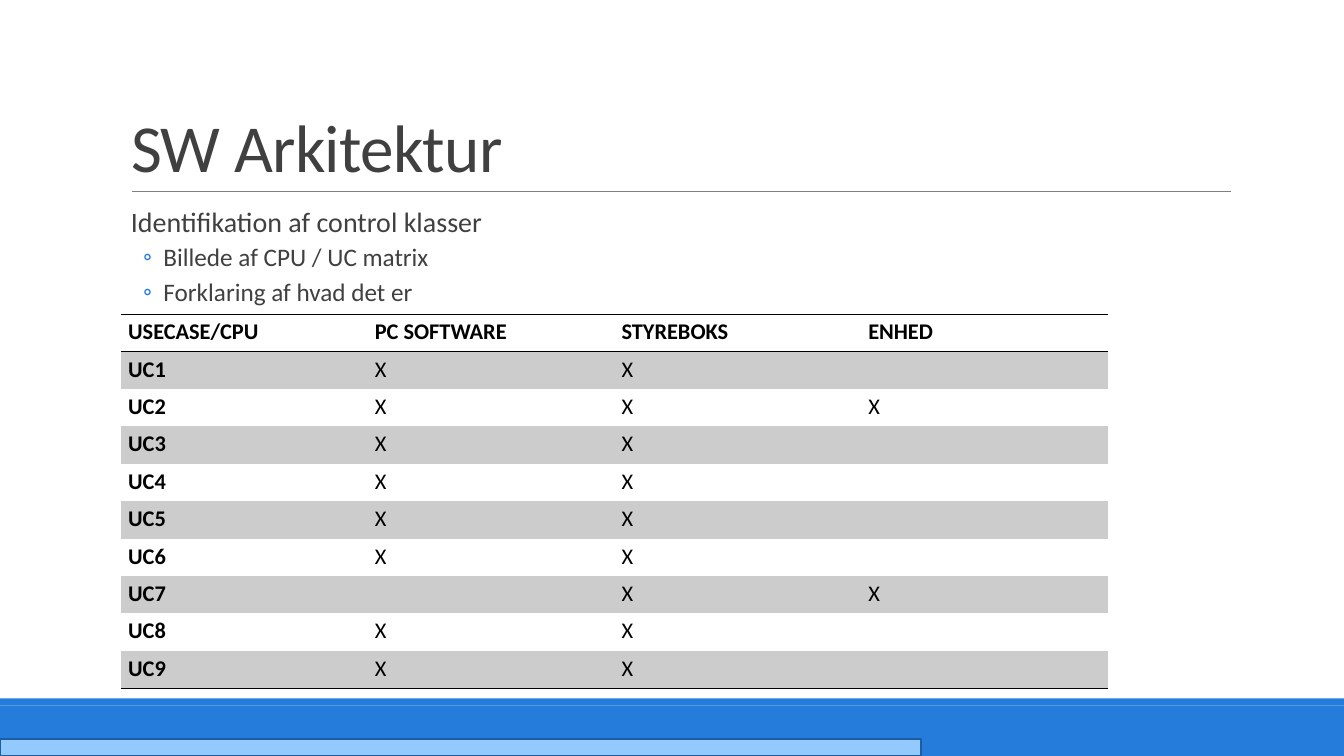
import pptx
import pptx.util
import pptx.dml.color
import pptx.enum.shapes
import pptx.enum.text
import pptx.oxml
import pptx.oxml.ns
from pptx.util import Cm

FONT = "Calibri"
BLUE = "257CDB"
GREY = "404040"
BLACK = "000000"
NO_GRID_STYLE = "{2D5ABB26-0587-4C30-8999-92F81FD0307C}"


def color(hex_string):
    return pptx.dml.color.RGBColor.from_string(hex_string)


def add_xml(parent, tag, inner="", **attributes):
    listed = "".join(f' {name}="{value}"' for name, value in attributes.items())
    namespace = pptx.oxml.ns.nsdecls("a")
    parent.append(pptx.oxml.parse_xml(f"<a:{tag} {namespace}{listed}>{inner}</a:{tag}>"))


deck = pptx.Presentation()
deck.slide_width, deck.slide_height = Cm(33.87), Cm(19.05)
page = deck.slides.add_slide(deck.slide_layouts[5])
shapes = page.shapes

# Footer bars: left, top, width, height, fill, outline
bars = [
    (0, 17.78, 33.87, 1.27, BLUE, None),
    (0, 17.6, 33.87, 0.18, BLUE, None),
    (0, 18.62, 23.22, 0.43, "94C9FE", "1B5CA2"),
]
for *place, fill, outline in bars:
    bar = shapes.add_shape(pptx.enum.shapes.MSO_SHAPE.RECTANGLE, *map(Cm, place))
    bar.shadow.inherit = False
    bar.fill.solid()
    bar.fill.fore_color.rgb = color(fill)
    if outline:
        bar.line.color.rgb = color(outline)
        bar.line.width = pptx.util.Pt(1.25)
    else:
        bar.line.fill.background()

# Rule under the title
rule = shapes.add_connector(
    pptx.enum.shapes.MSO_CONNECTOR.STRAIGHT, Cm(3.32), Cm(4.82), Cm(31.02), Cm(4.82))
rule.line.color.rgb = color("808080")
rule.line.width = pptx.util.Pt(0.5)
add_xml(rule._element.spPr, "effectLst")

# Title
title = shapes.title
title.left, title.top, title.width, title.height = Cm(3.05), Cm(0.79), Cm(27.94), Cm(4.04)
title.text_frame.vertical_anchor = pptx.enum.text.MSO_ANCHOR.BOTTOM
title.text_frame.auto_size = pptx.enum.text.MSO_AUTO_SIZE.NONE
para = title.text_frame.paragraphs[0]
para.alignment = pptx.enum.text.PP_ALIGN.LEFT
para.line_spacing = 0.85
span = para.add_run()
span.text = "SW Arkitektur"
span.font.name, span.font.size = FONT, pptx.util.Pt(48)
span.font.color.rgb = color(GREY)
span._r.get_or_add_rPr().set("spc", "-50")

# Body: text, level, size, space before, space after
lines = [
    ("Identifikation af control klasser", 0, 20, 0, 2),
    ("Billede af CPU / UC matrix", 1, 18, 2, 4),
    ("Forklaring af hvad det er", 1, 18, 2, 4),
]
body = shapes.add_textbox(Cm(3.05), Cm(5.13), Cm(27.94), Cm(11.18)).text_frame
body.word_wrap = True
body.margin_left = body.margin_right = 0
for number, (text, level, size, before, after) in enumerate(lines):
    para = body.add_paragraph() if number else body.paragraphs[0]
    properties = para._p.get_or_add_pPr()
    if level:
        properties.set("marL", str(Cm(1.07)))
        properties.set("indent", str(Cm(-0.51)))
        add_xml(properties, "buClr", f'<a:srgbClr val="{BLUE}"/>')
        add_xml(properties, "buFont", typeface=FONT)
        add_xml(properties, "buChar", char="◦")
    else:
        properties.set("marL", str(Cm(0.25)))
    formats = {"level": level, "line_spacing": 0.9,
               "space_before": pptx.util.Pt(before), "space_after": pptx.util.Pt(after)}
    for name, value in formats.items():
        setattr(para, name, value)
    span = para.add_run()
    span.text = text
    span.font.name, span.font.size = FONT, pptx.util.Pt(size)
    span.font.color.rgb = color(GREY)

# Use case / CPU matrix
rows = [
    ("USECASE/CPU", "PC SOFTWARE", "STYREBOKS", "ENHED"),
    ("UC1", "X", "X", ""),
    ("UC2", "X", "X", "X"),
    ("UC3", "X", "X", ""),
    ("UC4", "X", "X", ""),
    ("UC5", "X", "X", ""),
    ("UC6", "X", "X", ""),
    ("UC7", "", "X", "X"),
    ("UC8", "X", "X", ""),
    ("UC9", "X", "X", ""),
]
last = len(rows) - 1
matrix = shapes.add_table(
    len(rows), len(rows[0]), Cm(3.05), Cm(7.92), Cm(24.87), Cm(9.42)).table
matrix._tbl.tblPr.find(pptx.oxml.ns.qn("a:tableStyleId")).text = NO_GRID_STYLE
matrix.first_row = matrix.horz_banding = False
border = f'<a:solidFill><a:srgbClr val="{BLACK}"/></a:solidFill>'
for row, texts in enumerate(rows):
    for column, text in enumerate(texts):
        cell = matrix.cell(row, column)
        margins = {"margin_left": Cm(0.18), "margin_right": Cm(0.18),
                   "margin_top": 0, "margin_bottom": 0}
        for name, value in margins.items():
            setattr(cell, name, value)
        sides = {0: ("lnT", "lnB"), last: ("lnB",)}.get(row, ())
        for side in sides:
            add_xml(cell._tc.get_or_add_tcPr(), side, border, w=pptx.util.Pt(1))
        if row % 2:
            cell.fill.solid()
            cell.fill.fore_color.rgb = color("CCCCCC")
        else:
            cell.fill.background()
        para = cell.text_frame.paragraphs[0]
        para.line_spacing = 1.15
        if text:
            span = para.add_run()
            span.text = text
            formats = {"name": FONT, "size": pptx.util.Pt(16),
                       "bold": row == 0 or column == 0}
            for name, value in formats.items():
                setattr(span.font, name, value)
            span.font.color.rgb = color(BLACK)

deck.save("out.pptx")
